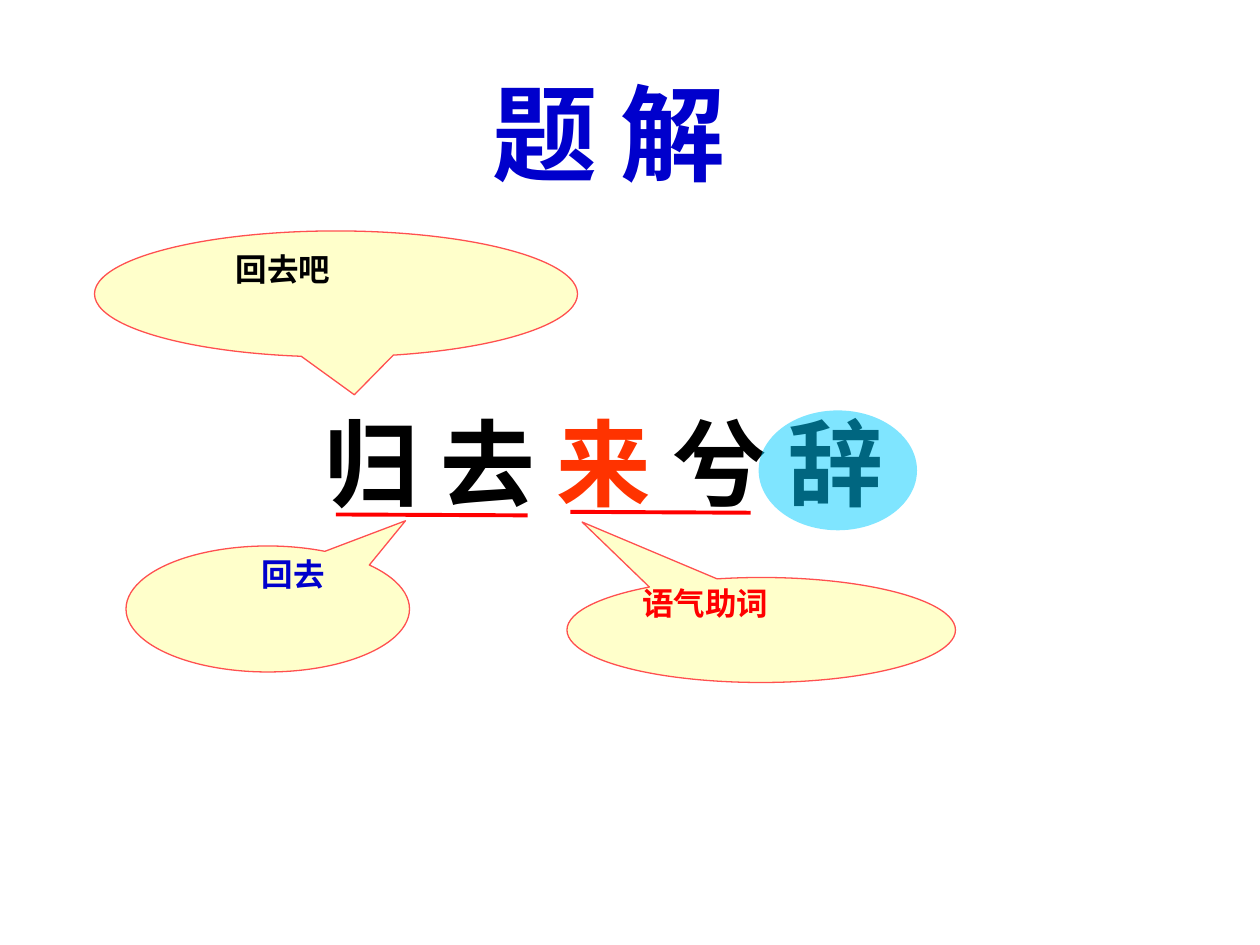
import pptx
import pptx.util
import pptx.dml.color
import pptx.enum.shapes
import pptx.enum.text
import pptx.oxml.ns
from lxml import etree

Pt = pptx.util.Pt
SHAPES = pptx.enum.shapes.MSO_SHAPE
ALIGN = pptx.enum.text.PP_ALIGN
ANCHOR = pptx.enum.text.MSO_ANCHOR
qn = pptx.oxml.ns.qn

COLORS = {
    "blue": "0000CC", "black": "000000", "orange": "FF3300", "red": "FF0000",
    "cream": "FFFF99", "coral": "FF5050", "cyan": "00CCFF",
}

# Content: boxes are left, top, width, height in points
heading = {"box": (42, 30, 612, 90), "runs": [("题 解", "blue")],
           "size": 60, "font": "Noto Sans CJK SC", "anchor": ANCHOR.MIDDLE}
poem_title = {"box": (174, 228, 342, 60), "size": 54, "font": "Times New Roman",
              "runs": [("归 去 ", "black"), ("来", "orange"), (" 兮 辞", "black")]}
underlines = [((192, 294), (301.5, 294.5)), ((326, 292.5), (429, 293))]
callouts = [  # box, pointer offset
    ((324, 330, 222, 60), (-0.461, -1.029)),
    ((54, 132, 276, 72), (0.038, 0.8)),
    ((72, 312, 162, 72), (0.486, -0.7)),
]
notes = [
    ("语气助词", "red", (360, 330, 240, 29)),
    ("回去吧", "black", (127.5, 139.5, 336, 29)),
    ("回去", "blue", (142.5, 313.5, 50.5, 29)),
]
highlight = (433.5, 234.5, 90.5, 68.5)

prs = pptx.Presentation()
prs.slide_width, prs.slide_height = Pt(720), Pt(540)
slide = prs.slides.add_slide(prs.slide_layouts[6])


def rgb(name):
    return pptx.dml.color.RGBColor.from_string(COLORS[name])


def add_text(box, runs, size, font, align=ALIGN.CENTER, anchor=ANCHOR.TOP):
    frame = slide.shapes.add_textbox(*map(Pt, box)).text_frame
    frame.word_wrap = True
    frame.vertical_anchor = anchor
    paragraph = frame.paragraphs[0]
    paragraph.alignment = align
    for text, color in runs:
        run = paragraph.add_run()
        run.text = text
        run.font.size, run.font.name, run.font.bold = Pt(size), font, True
        run.font.color.rgb = rgb(color)


def add_translucent(kind, box, fill):
    shape = slide.shapes.add_shape(kind, *map(Pt, box))
    shape.shadow.inherit = False
    shape.fill.solid()
    shape.fill.fore_color.rgb = rgb(fill)
    color = shape.fill._xPr.find(".//" + qn("a:srgbClr"))
    etree.SubElement(color, qn("a:alpha"), val="50000")
    return shape


# Heading and poem title
for title in (heading, poem_title):
    add_text(**title)

# Underlines below the two word groups
for start, end in underlines:
    rule = slide.shapes.add_connector(
        pptx.enum.shapes.MSO_CONNECTOR.STRAIGHT, *map(Pt, start + end))
    rule.line.color.rgb = rgb("red")
    rule.line.width = Pt(2.25)
    etree.SubElement(rule._element.spPr, qn("a:effectLst"))

# Callouts and their explanations
for box, pointer in callouts:
    callout = add_translucent(SHAPES.OVAL_CALLOUT, box, "cream")
    callout.adjustments[0], callout.adjustments[1] = pointer
    callout.line.color.rgb = rgb("coral")
    callout.line.width = Pt(0.75)
for text, color, box in notes:
    add_text(box, [(text, color)], 18, "Arial", ALIGN.LEFT)

# Highlight over the last character
add_translucent(SHAPES.OVAL, highlight, "cyan").line.fill.background()

prs.save("out.pptx")
